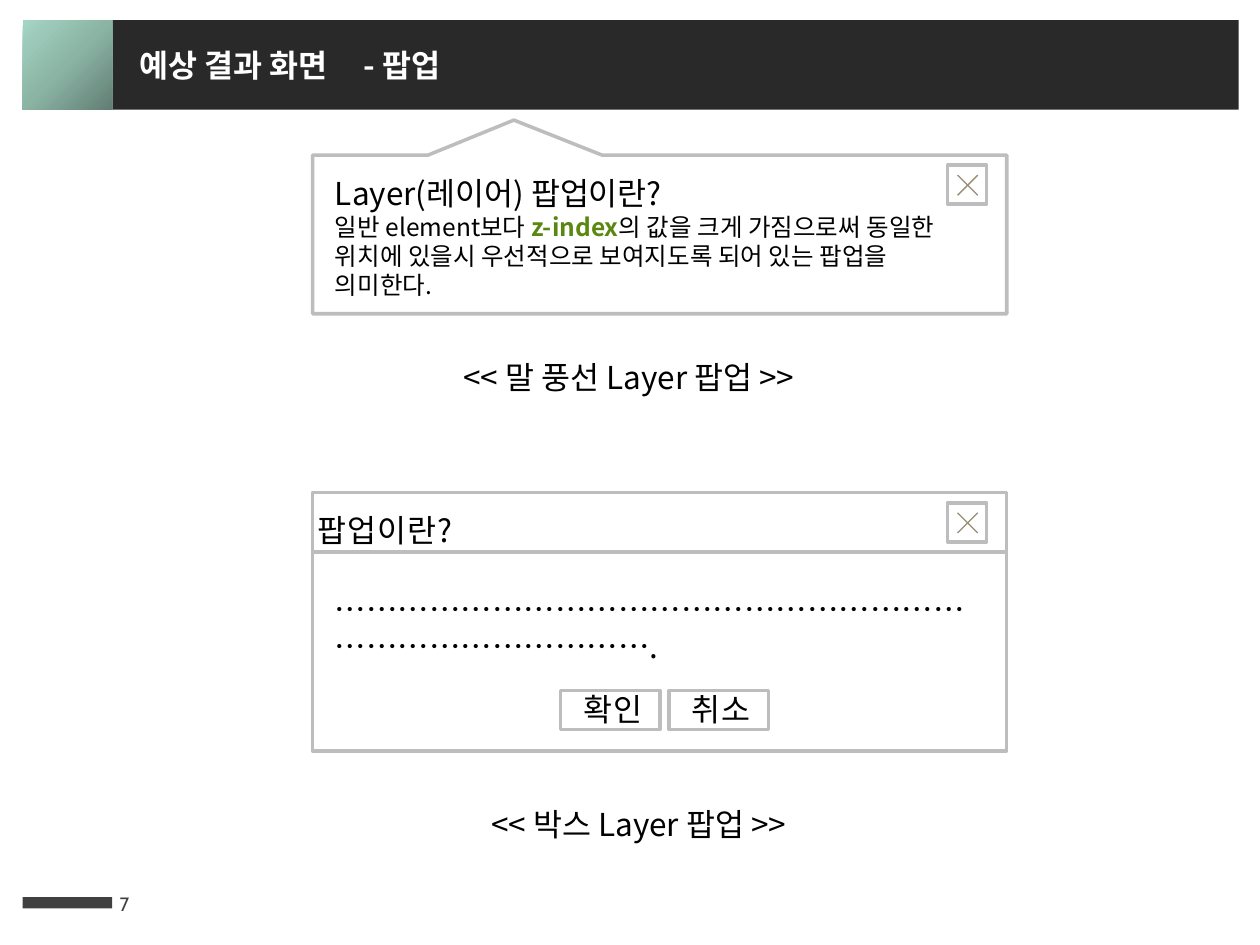
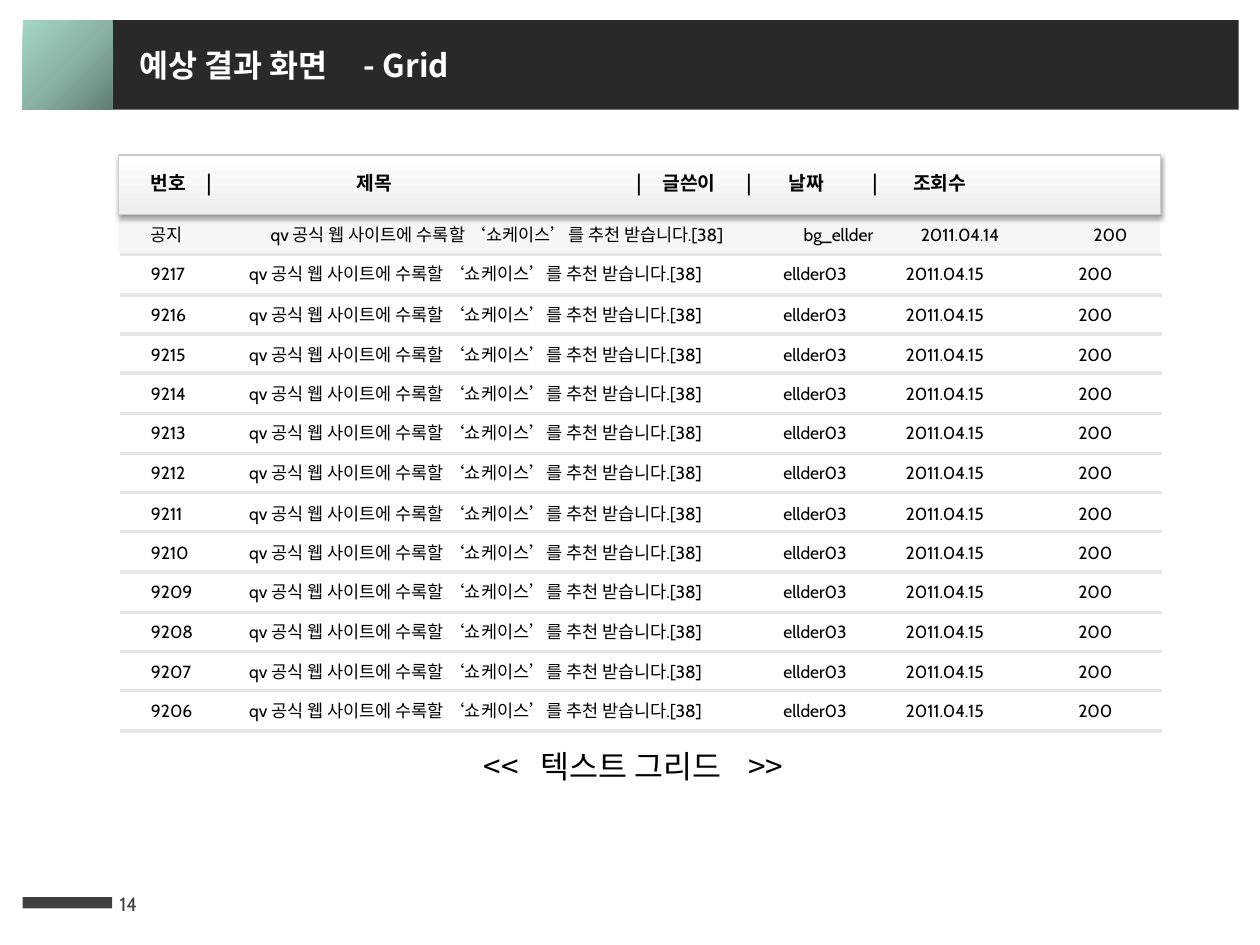
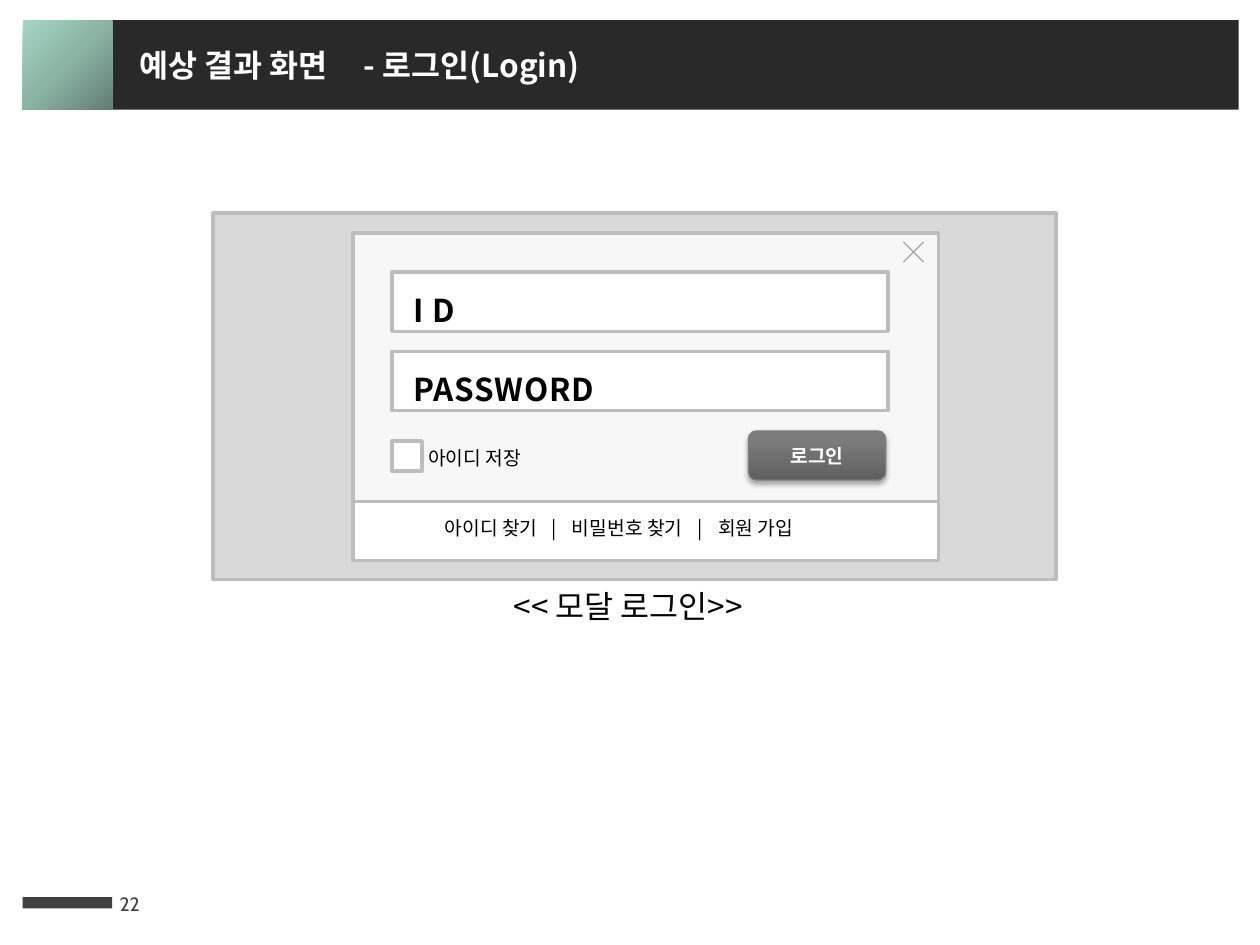
from dataclasses import dataclass, replace

from lxml.etree import SubElement
from pptx import Presentation
from pptx.dml.color import RGBColor
from pptx.enum.shapes import MSO_CONNECTOR, MSO_SHAPE
from pptx.enum.text import MSO_ANCHOR, MSO_AUTO_SIZE, PP_ALIGN
from pptx.oxml.ns import qn
from pptx.util import Emu, Pt

EMU_PER_PX = 9144
SLIDE_WIDTH, SLIDE_HEIGHT = 1000, 750
KOREAN_FONT = "Noto Sans CJK KR"
LATIN_FONT = "Cabin"

COLORS = {
    "band": "292929", "footer": "404040", "text": "000000", "white": "FFFFFF",
    "accent": "5A870F", "border": "BDBDBD", "popup_cross": "988E74",
    "login_cross": "A6A6A6", "rule": "E6E6E6", "notice": "F6F6F6",
    "header_end": "EEEEEE", "header_border": "CDCDCD", "backdrop": "D9D9D9",
    "panel": "F7F7F7", "button_dark": "5F5F5F", "button_mid": "7B7B7B",
    "button_light": "7C7C7C", "square_dark": "627E74", "square_mid": "8BB4A5",
    "square_light": "A5D5C4",
}


@dataclass(frozen=True)
class Box:
    left: int
    top: int
    width: int
    height: int


@dataclass(frozen=True)
class TextStyle:
    size: int = 18
    color: str = "text"
    font: str = KOREAN_FONT
    bold: bool = False
    tracking: float = 0
    align: PP_ALIGN = PP_ALIGN.LEFT
    line_spacing: float = 1
    tabs: tuple[int, ...] = ()


@dataclass(frozen=True)
class Gradient:
    stops: tuple[tuple[int, str], ...]
    angle: int | None = None


@dataclass(frozen=True)
class Look:
    fill: str | Gradient
    border: str | None = None
    border_points: float = 2
    opacity: int = 100
    shadow_opacity: int = 0


@dataclass(frozen=True)
class GridRow:
    number: str
    author: str = "ellder03"
    date: str = "2011.04.15"
    tabs: tuple[int, ...] = (78, 502, 599, 736)


BODY = TextStyle()
SMALL = TextStyle(size=11)
TITLE = TextStyle(color="white", bold=True, tabs=(178,))
PAGE_NUMBER = TextStyle(size=11, color="footer", font=LATIN_FONT)
BAR = TextStyle(tracking=0.5, line_spacing=1.5)
FIELD = replace(BAR, bold=True)
CHOICE = TextStyle(tracking=0.5, align=PP_ALIGN.CENTER)
LOGIN = TextStyle(size=11, color="white", bold=True, align=PP_ALIGN.CENTER)
GRID_HEADER = TextStyle(size=11, bold=True, tabs=(44, 163, 385, 406, 473, 506, 573, 605))

GLASS = Look("white", "border", opacity=60)
OUTLINED = Look("white", "border")
CORNER = Look(Gradient(((0, "square_dark"), (50, "square_mid"), (100, "square_light"))))
GRID_HEADER_LOOK = Look(Gradient(((0, "white"), (100, "header_end")), 270),
                        "header_border", 0.75, shadow_opacity=38)
LOGIN_LOOK = Look(Gradient(((0, "button_dark"), (80, "button_mid"), (100, "button_light")), 270),
                  "button_light", 0.75, shadow_opacity=35)

GRID_ROWS = [GridRow("공지", "bg_ellder", "2011.04.14", (95, 518, 611, 748))]
GRID_ROWS += [GridRow(str(number)) for number in range(9217, 9205, -1)]
ROW_PITCH = 31.5
POST_TITLE = "qv 공식 웹 사이트에 수록할 ‘쇼케이스’를 추천 받습니다.[38]"


def px(length: float) -> Emu:
    return Emu(round(length * EMU_PER_PX))


def rgb(name: str) -> RGBColor:
    return RGBColor.from_string(COLORS[name])


def place(box: Box) -> tuple[Emu, ...]:
    return px(box.left), px(box.top), px(box.width), px(box.height)


def format_run(run, style: TextStyle) -> None:
    run.font.size = Pt(style.size)
    run.font.bold = style.bold
    run.font.name = style.font
    run.font.color.rgb = rgb(style.color)
    properties = run.font._element
    SubElement(properties, qn("a:ea"), typeface=KOREAN_FONT)
    if style.tracking:
        properties.set("spc", str(int(style.tracking * 100)))


def write(paragraph, text: str, style: TextStyle) -> None:
    paragraph.text = text
    paragraph.alignment = style.align
    paragraph.line_spacing = style.line_spacing
    if style.tabs:
        tab_list = SubElement(paragraph._p.get_or_add_pPr(), qn("a:tabLst"))
        for position in style.tabs:
            SubElement(tab_list, qn("a:tab"), pos=str(px(position)), algn="l")
    for run in paragraph.runs:
        format_run(run, style)


def add_text(slide, box: Box, text: str, style: TextStyle = BODY):
    text_frame = slide.shapes.add_textbox(*place(box)).text_frame
    text_frame.word_wrap = True
    text_frame.auto_size = MSO_AUTO_SIZE.SHAPE_TO_FIT_TEXT
    write(text_frame.paragraphs[0], text, style)
    return text_frame


def apply_gradient(shape, gradient: Gradient) -> None:
    shape.fill.gradient()
    element = shape._element.spPr.find(qn("a:gradFill"))
    for child in list(element):
        element.remove(child)
    element.set("rotWithShape", "1")
    stop_list = SubElement(element, qn("a:gsLst"))
    for position, color in gradient.stops:
        stop = SubElement(stop_list, qn("a:gs"), pos=str(position * 1000))
        SubElement(stop, qn("a:srgbClr"), val=COLORS[color])
    if gradient.angle is None:
        circle = SubElement(element, qn("a:path"), {"path": "circle"})
        SubElement(circle, qn("a:fillToRect"), l="100000", t="100000")
    else:
        SubElement(element, qn("a:lin"), ang=str(gradient.angle * 60000), scaled="0")


def apply_shadow(shape, opacity: int) -> None:
    effects = shape._element.spPr.find(qn("a:effectLst"))
    shadow = SubElement(effects, qn("a:outerShdw"), blurRad=str(Pt(3.1)), dist=str(Pt(1.7)),
                        dir="5400000", rotWithShape="0")
    color = SubElement(shadow, qn("a:srgbClr"), val=COLORS["text"])
    SubElement(color, qn("a:alpha"), val=str(opacity * 1000))


def add_shape(slide, box: Box, look: Look, kind: MSO_SHAPE = MSO_SHAPE.RECTANGLE):
    shape = slide.shapes.add_shape(kind, *place(box))
    shape.shadow.inherit = False
    if isinstance(look.fill, Gradient):
        apply_gradient(shape, look.fill)
    else:
        shape.fill.solid()
        shape.fill.fore_color.rgb = rgb(look.fill)
    if look.opacity < 100:
        color = shape._element.spPr.find(qn("a:solidFill"))[0]
        SubElement(color, qn("a:alpha"), val=str(look.opacity * 1000))
    if look.border:
        shape.line.color.rgb = rgb(look.border)
        shape.line.width = Pt(look.border_points)
    else:
        shape.line.fill.background()
    if look.shadow_opacity:
        apply_shadow(shape, look.shadow_opacity)
    return shape


def add_label(slide, box: Box, look: Look, text: str, style: TextStyle, inset: int = 4) -> None:
    text_frame = add_shape(slide, box, look).text_frame
    text_frame.vertical_anchor = MSO_ANCHOR.TOP
    text_frame.margin_left = px(inset)
    text_frame.margin_top = text_frame.margin_right = text_frame.margin_bottom = 0
    write(text_frame.paragraphs[0], text, style)


def add_line(slide, start: tuple[int, int], end: tuple[int, int], color: str,
             points: float) -> None:
    line = slide.shapes.add_connector(MSO_CONNECTOR.STRAIGHT, *map(px, start + end))
    line.line.color.rgb = rgb(color)
    line.line.width = Pt(points)
    SubElement(line._element.spPr, qn("a:effectLst"))


def add_cross(slide, left: int, top: int, color: str, size: int = 16) -> None:
    right, bottom = left + size, top + size
    add_line(slide, (right, top), (left, bottom), color, 0.75)
    add_line(slide, (left, top), (right, bottom), color, 0.75)


def add_close_box(slide, left: int, top: int) -> None:
    add_shape(slide, Box(left, top, 31, 31), GLASS)
    add_cross(slide, left + 8, top + 8, "popup_cross")


def add_base_slide(presentation, topic: str, number: int):
    slide = presentation.slides.add_slide(presentation.slide_layouts[6])
    add_shape(slide, Box(89, 16, 894, 71), Look("band"))
    add_shape(slide, Box(18, 16, 71, 71), CORNER)
    add_shape(slide, Box(18, 712, 71, 9), Look("footer"))
    page_frame = add_text(slide, Box(85, 697, 59, 40), str(number), PAGE_NUMBER)
    page_frame.auto_size = MSO_AUTO_SIZE.NONE
    page_frame.vertical_anchor = MSO_ANCHOR.MIDDLE
    add_text(slide, Box(101, 32, 699, 40), f"예상 결과 화면\t- {topic}", TITLE)
    return slide


def add_balloon_popup(slide) -> None:
    balloon = add_shape(slide, Box(248, 123, 551, 126), OUTLINED, MSO_SHAPE.RECTANGULAR_CALLOUT)
    balloon.rotation = 180
    balloon.adjustments[0] = 0.21
    balloon.adjustments[1] = 0.72
    add_text(slide, Box(358, 279, 331, 40), "<< 말 풍선 Layer 팝업 >>")
    text_frame = add_text(slide, Box(256, 133, 528, 111), "Layer(레이어) 팝업이란?")
    explanation = text_frame.add_paragraph()
    plain = TextStyle(size=14)
    for text, style in (
        ("일반 element보다 ", plain),
        ("z-index", replace(plain, color="accent", bold=True)),
        ("의 값을 크게 가짐으로써 동일한 위치에 있을시 우선적으로 보여지도록 "
         "되어 있는 팝업을 의미한다.", plain),
    ):
        run = explanation.add_run()
        run.text = text
        format_run(run, style)
    add_close_box(slide, 752, 131)


def add_box_popup(slide) -> None:
    add_shape(slide, Box(248, 391, 551, 205), GLASS)
    add_text(slide, Box(256, 463, 528, 71), "…" * 30 + ".")
    add_label(slide, Box(248, 391, 551, 47), GLASS, "팝업이란?", BAR)
    add_close_box(slide, 752, 399)
    for index, text in enumerate(("확인", "취소")):
        add_label(slide, Box(445 + 86 * index, 548, 79, 31), GLASS, text, CHOICE)
    add_text(slide, Box(380, 634, 291, 40), "<< 박스 Layer 팝업 >>")


def build_popup_slide(presentation) -> None:
    slide = add_base_slide(presentation, "팝업", 7)
    add_balloon_popup(slide)
    add_box_popup(slide)


def build_grid_slide(presentation) -> None:
    slide = add_base_slide(presentation, "Grid", 14)
    for index in range(len(GRID_ROWS)):
        rule_top = round(202 + ROW_PITCH * index)
        add_line(slide, (95, rule_top), (922, rule_top), "rule", 2)
    add_shape(slide, Box(94, 174, 827, 27), Look("notice"))
    header = add_shape(slide, Box(94, 123, 827, 47), GRID_HEADER_LOOK)
    header.rotation = 180
    add_text(slide, Box(110, 131, 787, 29),
             "번호\t|\t제목\t|\t글쓴이\t|\t날짜\t|\t조회수", GRID_HEADER)
    for index, row in enumerate(GRID_ROWS):
        style = TextStyle(size=10, font=LATIN_FONT, tabs=row.tabs)
        cells = (row.number, POST_TITLE, row.author, row.date, "200")
        add_text(slide, Box(110, round(173 + ROW_PITCH * index), 800, 27),
                 "\t".join(cells), style)
    add_text(slide, Box(374, 588, 276, 40), "<<\t텍스트 그리드\t>>",
             replace(BODY, tabs=(45, 210)))


def build_login_slide(presentation) -> None:
    slide = add_base_slide(presentation, "로그인(Login)", 22)
    add_text(slide, Box(398, 461, 236, 40), "<< 모달 로그인>>")
    add_shape(slide, Box(169, 169, 669, 291), Look("backdrop", "border"))
    add_shape(slide, Box(280, 185, 465, 213), Look("panel", "border"))
    for index, text in enumerate(("I D", "PASSWORD")):
        add_label(slide, Box(311, 216 + 63 * index, 394, 47), OUTLINED, text, FIELD, 17)
    add_cross(slide, 717, 192, "login_cross")
    button = add_shape(slide, Box(594, 342, 109, 39), LOGIN_LOOK, MSO_SHAPE.ROUNDED_RECTANGLE)
    button.text_frame.vertical_anchor = MSO_ANCHOR.MIDDLE
    write(button.text_frame.paragraphs[0], "로그인", LOGIN)
    add_shape(slide, Box(280, 398, 465, 47), OUTLINED)
    add_text(slide, Box(343, 405, 339, 29), "아이디 찾기\t|\t비밀번호 찾기\t|\t회원 가입",
             replace(SMALL, tabs=(85, 101, 201, 217)))
    add_shape(slide, Box(311, 350, 24, 24), OUTLINED)
    add_text(slide, Box(330, 349, 102, 29), "아이디 저장", SMALL)


def main() -> None:
    presentation = Presentation()
    presentation.slide_width = px(SLIDE_WIDTH)
    presentation.slide_height = px(SLIDE_HEIGHT)
    build_popup_slide(presentation)
    build_grid_slide(presentation)
    build_login_slide(presentation)
    presentation.save("out.pptx")


if __name__ == "__main__":
    main()
